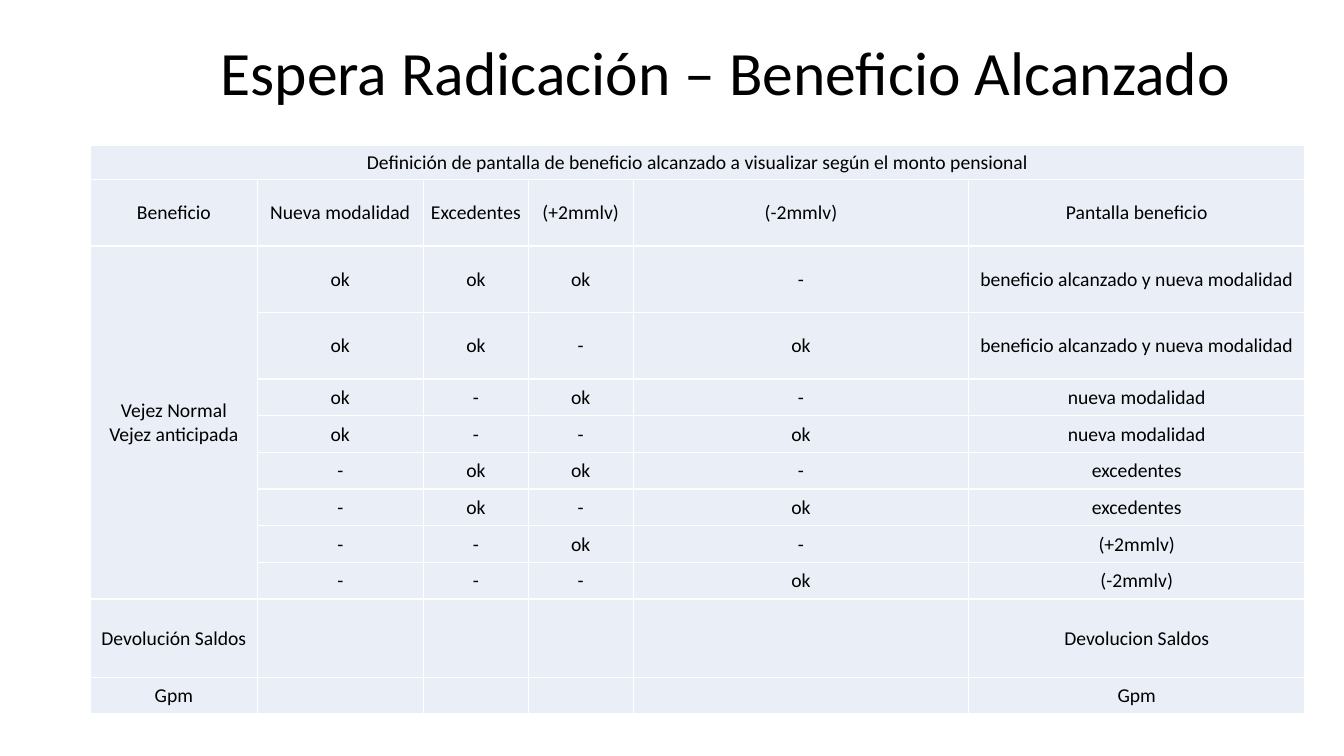
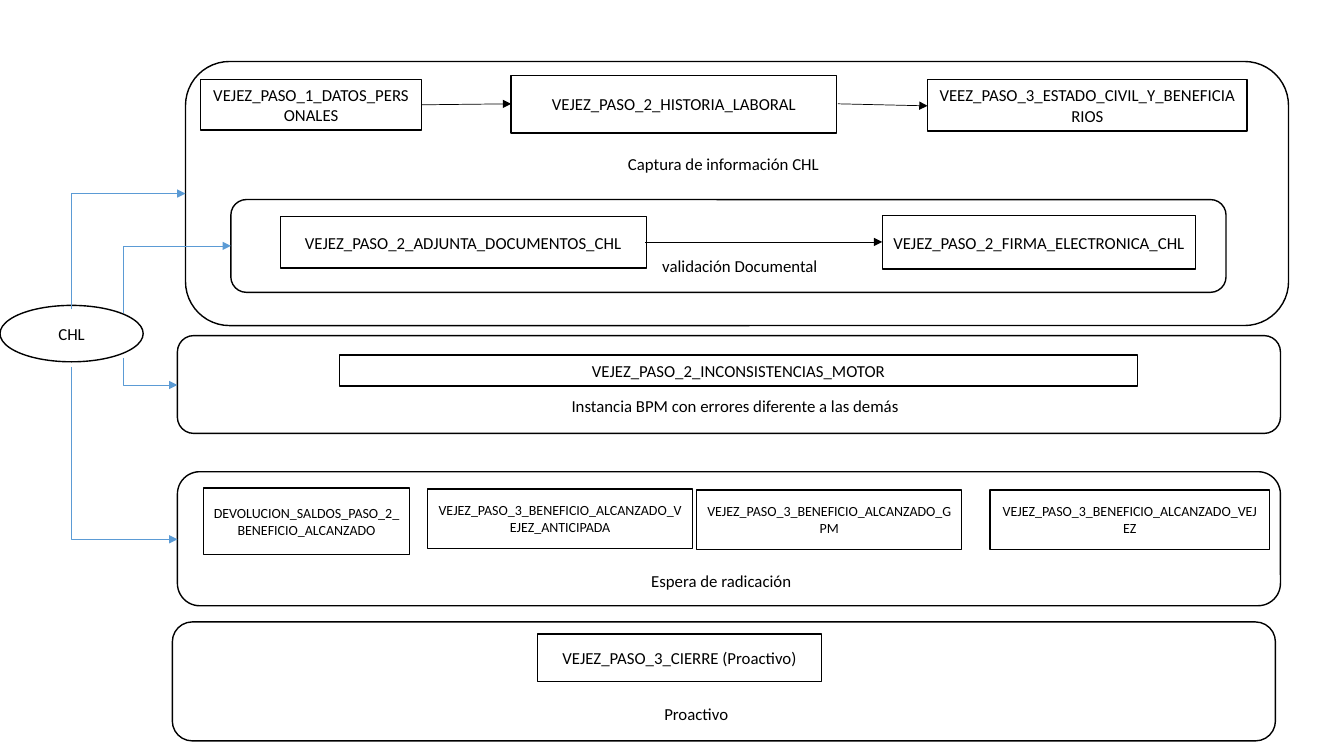
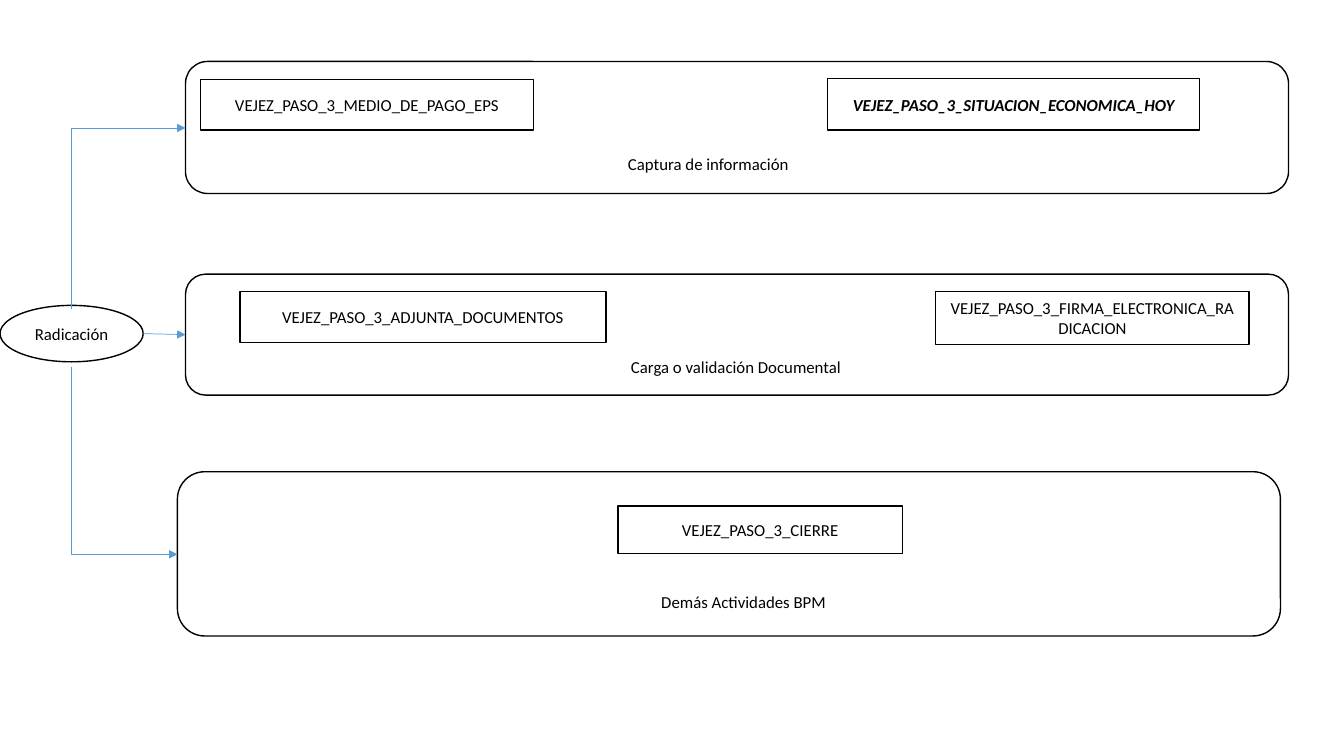
from dataclasses import dataclass
from itertools import product
from typing import Any, Optional

from lxml import etree
from pptx import Presentation
from pptx import util as u
from pptx.dml.color import RGBColor
from pptx.enum import shapes, text
from pptx.oxml.ns import qn

COLORS = {"ink": "000000", "paper": "FFFFFF", "cell": "EAEFF7", "link": "5B9BD5"}
FONT = "Calibri"
GROUP_WIDTH = 10.94
CAPTION_HEIGHT = 0.3


@dataclass(frozen=True)
class Box:
    """A framed shape, with a text or without."""
    left: float
    top: float
    width: float
    height: float
    label: str = ""
    size: int = 12
    emphasis: bool = False
    preset: shapes.MSO_SHAPE = shapes.MSO_SHAPE.RECTANGLE
    fill: Optional[str] = "paper"


@dataclass(frozen=True)
class Caption:
    """An unframed label."""
    left: float
    top: float
    width: float
    label: str


@dataclass(frozen=True)
class Arrow:
    """An arrow; a bent one runs up or down first, then to the right."""
    start: tuple[float, float]
    end: tuple[float, float]
    color: str = "link"
    bent: bool = True


@dataclass(frozen=True)
class Flow:
    """The content of one process slide."""
    boxes: list[Box]
    captions: list[Caption]
    arrows: list[Arrow]


def group(left: float, top: float, height: float, width: float = GROUP_WIDTH) -> Box:
    """Describe a rounded frame around several steps."""
    return Box(left, top, width, height,
               preset=shapes.MSO_SHAPE.ROUNDED_RECTANGLE, fill=None)


def origin(label: str) -> Box:
    """Describe the ellipse where a process begins."""
    return Box(0, 3.03, 1.42, 0.56, label, preset=shapes.MSO_SHAPE.OVAL)


def rgb(name: str) -> RGBColor:
    """Look up a colour by name."""
    return RGBColor.from_string(COLORS[name])


def apply(target: Any, values: dict[str, Any]) -> None:
    """Set attributes from a dict of format values."""
    for name, value in values.items():
        setattr(target, name, value)


def write(frame: Any, label: str, size: int, align: text.PP_ALIGN,
          emphasis: bool = False) -> None:
    """Write a label, one paragraph a line, into a text frame."""
    frame.text = label
    for paragraph in frame.paragraphs:
        paragraph.alignment = align
        for run in paragraph.runs:
            apply(run.font, {"name": FONT, "size": u.Pt(size),
                             "bold": emphasis, "italic": emphasis})
            run.font.color.rgb = rgb("ink")


def draw_box(slide: Any, box: Box) -> None:
    """Draw a framed shape."""
    shape = slide.shapes.add_shape(
        box.preset, *map(u.Inches, (box.left, box.top, box.width, box.height)))
    shape.shadow.inherit = False
    if box.fill:
        shape.fill.solid()
        shape.fill.fore_color.rgb = rgb(box.fill)
    else:
        shape.fill.background()
    shape.line.color.rgb = rgb("ink")
    shape.line.width = u.Pt(1)
    if box.label:
        shape.text_frame.vertical_anchor = text.MSO_ANCHOR.MIDDLE
        write(shape.text_frame, box.label, box.size, text.PP_ALIGN.CENTER, box.emphasis)


def draw_caption(slide: Any, caption: Caption) -> None:
    """Draw an unframed label."""
    shape = slide.shapes.add_textbox(
        *map(u.Inches, (caption.left, caption.top, caption.width, CAPTION_HEIGHT)))
    apply(shape.text_frame, {"word_wrap": False,
                             "auto_size": text.MSO_AUTO_SIZE.SHAPE_TO_FIT_TEXT})
    write(shape.text_frame, caption.label, 12, text.PP_ALIGN.LEFT)


def draw_arrow(slide: Any, arrow: Arrow) -> None:
    """Draw a straight or bent arrow."""
    (x1, y1), (x2, y2) = arrow.start, arrow.end
    kind = shapes.MSO_CONNECTOR.STRAIGHT
    if arrow.bent:
        # The elbow is a turned frame: its width is the rise, its height the run.
        kind = shapes.MSO_CONNECTOR.ELBOW
        rise, run = abs(y2 - y1), x2 - x1
        middle_x, middle_y = (x1 + x2) / 2, (y1 + y2) / 2
        x1, x2 = middle_x - rise / 2, middle_x + rise / 2
        y1, y2 = middle_y - run / 2, middle_y + run / 2
    connector = slide.shapes.add_connector(kind, *map(u.Inches, (x1, y1, x2, y2)))
    connector.line.color.rgb = rgb(arrow.color)
    connector.line.width = u.Pt(0.5)
    properties = connector._element.spPr
    etree.SubElement(properties.find(qn("a:ln")), qn("a:tailEnd"), type="triangle")
    etree.SubElement(properties, qn("a:effectLst"))
    if arrow.bent:
        properties.find(qn("a:prstGeom")).set("prst", "bentConnector2")
        frame = properties.find(qn("a:xfrm"))
        frame.set("flipH", "1")
        if arrow.end[1] > arrow.start[1]:
            frame.set("rot", "16200000")
        else:
            frame.set("rot", "5400000")
            frame.set("flipV", "1")


def draw_title(slide: Any, label: str) -> None:
    """Draw the slide title."""
    shape = slide.shapes.add_textbox(*map(u.Inches, (1.45, 0.16, 11.5, 1.18)))
    apply(shape.text_frame, {"word_wrap": True,
                             "vertical_anchor": text.MSO_ANCHOR.MIDDLE})
    write(shape.text_frame, label, 44, text.PP_ALIGN.CENTER)
    shape.text_frame.paragraphs[0].line_spacing = 0.9


def style_cell(cell: Any) -> None:
    """Give a cell its fill, margins and white borders."""
    apply(cell, {"vertical_anchor": text.MSO_ANCHOR.MIDDLE, "margin_bottom": 0,
                 **{f"margin_{side}": u.Inches(0.01) for side in ("left", "right", "top")}})
    properties = cell._tc.get_or_add_tcPr()
    for side in ("lnL", "lnR", "lnT", "lnB"):
        border = etree.SubElement(properties, qn(f"a:{side}"), w=str(u.Pt(1)))
        solid = etree.SubElement(border, qn("a:solidFill"))
        etree.SubElement(solid, qn("a:srgbClr"), val=COLORS["paper"])
    cell.fill.solid()
    cell.fill.fore_color.rgb = rgb("cell")


def benefit_rows() -> list[list[str]]:
    """List the table texts; the benefit screens follow every ok / - combination."""
    both, new, surplus = "beneficio alcanzado y nueva modalidad", "nueva modalidad", "excedentes"
    over, under = "(+2mmlv)", "(-2mmlv)"
    screens = [both, both, new, new, surplus, surplus, over, under]
    rows = [
        ["Definición de pantalla de beneficio alcanzado a visualizar según el monto pensional"]
        + [""] * 5,
        ["Beneficio", "Nueva modalidad", "Excedentes", over, under, "Pantalla beneficio"],
    ]
    for marks, screen in zip(product(("ok", "-"), repeat=3), screens):
        rows.append(["", *marks, "-" if marks[2] == "ok" else "ok", screen])
    rows[2][0] = "Vejez Normal\nVejez anticipada"
    rows.append(["Devolución Saldos", *[""] * 4, "Devolucion Saldos"])
    rows.append(["Gpm", *[""] * 4, "Gpm"])
    return rows


def draw_benefit_table(slide: Any) -> None:
    """Draw the table of benefit screens."""
    rows = benefit_rows()
    widths = [1.65, 1.65, 1.04, 1.04, 3.33, 3.33]
    heights = [0.34] + [0.66] * 3 + [0.364] * 6 + [0.78, 0.36]
    table = slide.shapes.add_table(
        len(rows), len(widths), *map(u.Inches, (0.9, 1.44, sum(widths), sum(heights)))).table
    apply(table, {"first_row": False, "horz_banding": False})
    for column, width in zip(table.columns, widths):
        column.width = u.Inches(width)
    for row, height, labels in zip(table.rows, heights, rows):
        row.height = u.Inches(height)
        for cell, label in zip(row.cells, labels):
            style_cell(cell)
            if label:
                write(cell.text_frame, label, 14, text.PP_ALIGN.CENTER)
    table.cell(0, 0).merge(table.cell(0, 5))
    table.cell(2, 0).merge(table.cell(9, 0))


def draw_flow(slide: Any, flow: Flow) -> None:
    """Draw a process slide."""
    for box in flow.boxes:
        draw_box(slide, box)
    for caption in flow.captions:
        draw_caption(slide, caption)
    for arrow in flow.arrows:
        draw_arrow(slide, arrow)


CHL = Flow(
    boxes=[
        origin("CHL"),
        Box(1.99, 0.79, 2.19, 0.5, "VEJEZ_PASO_1_DATOS_PERSONALES"),
        Box(5.07, 0.75, 3.23, 0.57, "VEJEZ_PASO_2_HISTORIA_LABORAL"),
        Box(9.2, 0.79, 3.17, 0.51, "VEEZ_PASO_3_ESTADO_CIVIL_Y_BENEFICIARIOS"),
        Box(2.78, 2.15, 3.63, 0.51, "VEJEZ_PASO_2_ADJUNTA_DOCUMENTOS_CHL"),
        Box(8.75, 2.14, 3.11, 0.53, "VEJEZ_PASO_2_FIRMA_ELECTRONICA_CHL"),
        Box(3.37, 3.52, 7.91, 0.31, "VEJEZ_PASO_2_INCONSISTENCIAS_MOTOR"),
        Box(2.02, 4.84, 2.04, 0.66, "DEVOLUCION_SALDOS_PASO_2_BENEFICIO_ALCANZADO", 10),
        Box(4.24, 4.85, 2.63, 0.59, "VEJEZ_PASO_3_BENEFICIO_ALCANZADO_VEJEZ_ANTICIPADA", 10),
        Box(6.91, 4.86, 2.63, 0.59, "VEJEZ_PASO_3_BENEFICIO_ALCANZADO_GPM", 10),
        Box(9.82, 4.86, 2.77, 0.59, "VEJEZ_PASO_3_BENEFICIO_ALCANZADO_VEJEZ", 10),
        Box(5.33, 6.29, 2.82, 0.47, "VEJEZ_PASO_3_CIERRE (Proactivo)"),
        group(1.84, 0.61, 2.62),
        group(2.29, 1.98, 0.92, width=9.87),
        group(1.76, 3.33, 0.97),
        group(1.76, 4.68, 1.33),
        group(1.71, 6.17, 1.18),
    ],
    captions=[
        Caption(6.13, 1.48, 2.11, "Captura de información CHL"),
        Caption(6.47, 2.49, 1.76, "validación Documental"),
        Caption(5.57, 3.88, 3.48, "Instancia BPM con errores diferente a las demás"),
        Caption(6.36, 5.61, 1.61, "Espera de radicación"),
        Caption(6.49, 6.93, 0.84, "Proactivo"),
    ],
    arrows=[
        Arrow((4.18, 1.04), (5.07, 1.03), "ink", bent=False),
        Arrow((8.31, 1.03), (9.2, 1.05), "ink", bent=False),
        Arrow((6.4, 2.4), (8.75, 2.4), "ink", bent=False),
        Arrow((1.22, 3.55), (1.76, 3.82)),
        Arrow((0.71, 3.64), (1.76, 5.35)),
        Arrow((1.22, 3.11), (2.29, 2.44)),
        Arrow((0.71, 3.07), (1.84, 1.92)),
    ],
)

FILING = Flow(
    boxes=[
        origin("Radicación"),
        Box(1.99, 0.79, 3.3, 0.5, "VEJEZ_PASO_3_MEDIO_DE_PAGO_EPS"),
        Box(8.21, 0.78, 3.69, 0.51, "VEJEZ_PASO_3_SITUACION_ECONOMICA_HOY", emphasis=True),
        Box(2.38, 2.89, 3.63, 0.51, "VEJEZ_PASO_3_ADJUNTA_DOCUMENTOS"),
        Box(9.28, 2.89, 3.11, 0.53, "VEJEZ_PASO_3_FIRMA_ELECTRONICA_RADICACION"),
        Box(6.13, 5.02, 2.82, 0.47, "VEJEZ_PASO_3_CIERRE"),
        group(1.84, 0.61, 1.31),
        group(1.84, 2.72, 1.2),
        group(1.76, 4.68, 1.63),
    ],
    captions=[
        Caption(6.13, 1.48, 1.81, "Captura de información"),
        Caption(6.16, 3.49, 2.31, "Carga o validación Documental"),
        Caption(6.46, 5.82, 1.9, "Demás Actividades BPM"),
    ],
    arrows=[
        Arrow((0.71, 3.64), (1.76, 5.5)),
        Arrow((0.71, 3.07), (1.84, 1.27)),
        Arrow((1.42, 3.31), (1.84, 3.32), bent=False),
    ],
)


def main() -> None:
    """Build and save the presentation."""
    presentation = Presentation()
    apply(presentation, {"slide_width": u.Inches(13.33), "slide_height": u.Inches(7.5)})
    blank = presentation.slide_layouts[6]
    slide = presentation.slides.add_slide(blank)
    draw_title(slide, "Espera Radicación – Beneficio Alcanzado")
    draw_benefit_table(slide)
    for flow in (CHL, FILING):
        draw_flow(presentation.slides.add_slide(blank), flow)
    presentation.save("out.pptx")


main()
